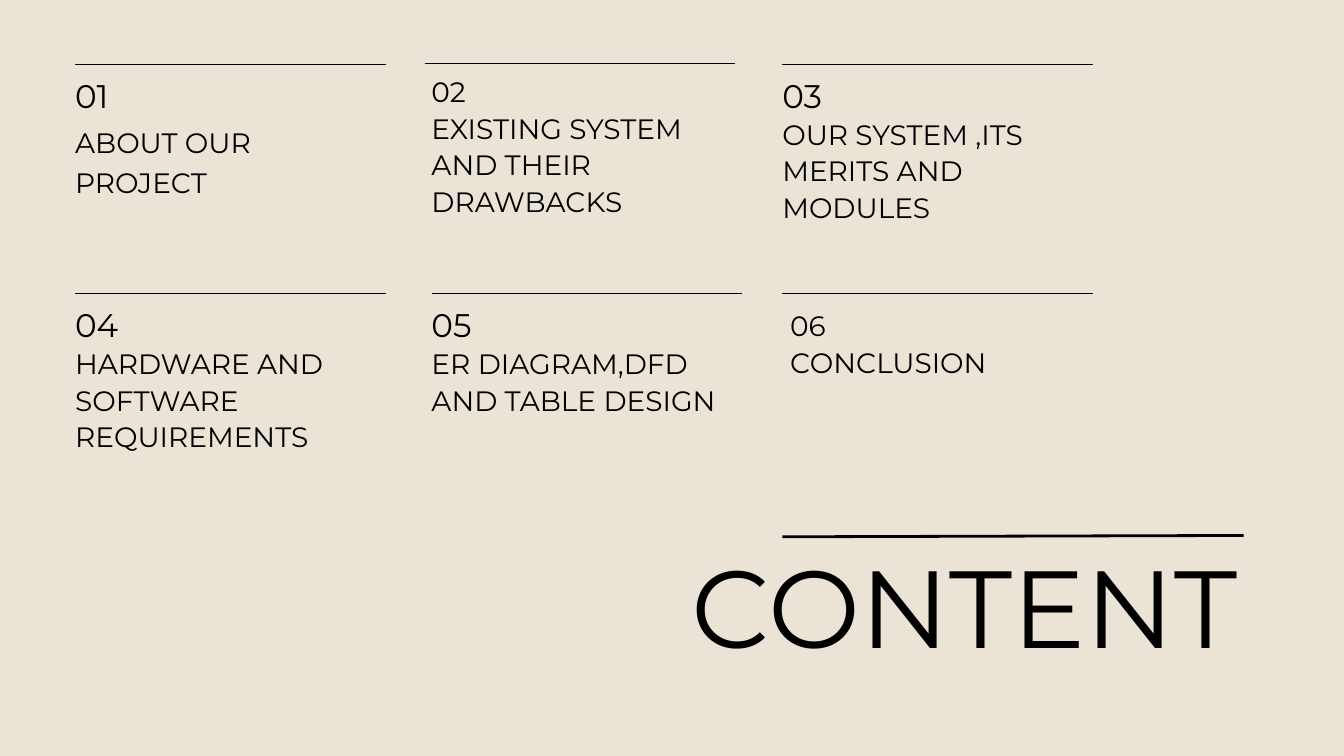
from dataclasses import dataclass

from lxml import etree
from pptx import Presentation
from pptx import util as u
from pptx.dml.color import RGBColor
from pptx.enum import shapes, text
from pptx.oxml.ns import qn


@dataclass(frozen=True)
class Theme:
    paper = RGBColor(0xEA, 0xE3, 0xD6)
    ink = RGBColor(0, 0, 0)
    font = "Montserrat"
    number = (35, 45.5)  # type size and line height in points
    label = (30, 39)
    loose_label = (30, 42)
    title = (117.4, 152.6)


@dataclass
class Entry:
    number: str
    label: str
    lines: int
    width: float = 11.23
    number_style: tuple = Theme.number
    rule_weight: float = 0.75
    rule_shift: tuple = (0, 0)
    text_shift: tuple = (0, 0.29)
    split: bool = False  # label in a box of its own


ENTRIES = [
    Entry("01", "ABOUT OUR PROJECT", 2, rule_weight=1, split=True),
    Entry("02", "EXISTING SYSTEM AND THEIR DRAWBACKS", 3, width=9.58,
          number_style=Theme.label, rule_shift=(-0.26, -0.03)),
    Entry("03", "OUR SYSTEM ,ITS MERITS AND MODULES", 3, width=11.94),
    Entry("04", "HARDWARE AND SOFTWARE REQUIREMENTS", 3, rule_weight=1),
    Entry("05", "ER DIAGRAM,DFD AND TABLE DESIGN", 2, rule_shift=(0, -0.03)),
    Entry("06", "CONCLUSION", 1, width=10.59, number_style=Theme.label,
          text_shift=(0.3, 0.46)),
]
COLUMNS = [2.84, 16.31, 29.57]
ROWS = [2.44, 11.1]


def add_text(page, left, top, width, parts, lines=1, align=None):
    """Place (wording, style) paragraphs; the last one fills `lines` lines."""
    points = sum(style[1] for _, style in parts) + (lines - 1) * parts[-1][1][1]
    box = page.shapes.add_textbox(u.Cm(left), u.Cm(top), u.Cm(width),
                                  u.Cm(points * 2.54 / 72))
    frame = box.text_frame
    frame.word_wrap = True
    frame.auto_size = text.MSO_AUTO_SIZE.SHAPE_TO_FIT_TEXT
    frame.margin_left = frame.margin_right = u.Cm(0)
    frame.margin_top = frame.margin_bottom = u.Cm(0)
    for index, (wording, (size, leading)) in enumerate(parts):
        para = frame.add_paragraph() if index else frame.paragraphs[0]
        para.line_spacing = u.Pt(leading)
        para.alignment = align
        span = para.add_run()
        span.text = wording
        span.font.name = Theme.font
        span.font.size = u.Pt(size)
        span.font.color.rgb = Theme.ink


def add_rule(page, left, top, width, weight, rise=0):
    rule = page.shapes.add_connector(
        shapes.MSO_CONNECTOR.STRAIGHT, u.Cm(left), u.Cm(top),
        u.Cm(left + width), u.Cm(top - rise))
    rule.line.color.rgb = Theme.ink
    rule.line.width = u.Pt(weight)
    etree.SubElement(rule._element.spPr, qn("a:effectLst"))


def add_entry(page, left, top, entry):
    """Rule with a number and label below it."""
    dx, dy = entry.rule_shift
    add_rule(page, left + dx, top + dy, 11.75, entry.rule_weight)
    dx, dy = entry.text_shift
    number = (entry.number, entry.number_style)
    if entry.split:
        add_text(page, left + dx, top + dy, entry.width, [number])
        add_text(page, left + dx, top + 2.11, entry.width,
                 [(entry.label, Theme.loose_label)], entry.lines)
    else:
        add_text(page, left + dx, top + dy, entry.width,
                 [number, (entry.label, Theme.label)], entry.lines)


def add_title(page, left, top, width):
    """Slide title under a heavy, slightly rising rule."""
    add_text(page, left, top, width, [("CONTENT", Theme.title)],
             align=text.PP_ALIGN.CENTER)
    add_rule(page, left + 3.69, top + 0.33, width - 3.69, 3, rise=0.05)


def main():
    deck = Presentation()
    deck.slide_width, deck.slide_height = u.Cm(50.8), u.Cm(28.575)
    page = deck.slides.add_slide(deck.slide_layouts[6])
    page.background.fill.solid()
    page.background.fill.fore_color.rgb = Theme.paper

    # Grid of entries
    for index, entry in enumerate(ENTRIES):
        row, column = divmod(index, len(COLUMNS))
        add_entry(page, COLUMNS[column], ROWS[row], entry)

    # Title
    add_title(page, 25.88, 19.96, 21.13)
    deck.save("out.pptx")


if __name__ == "__main__":
    main()
